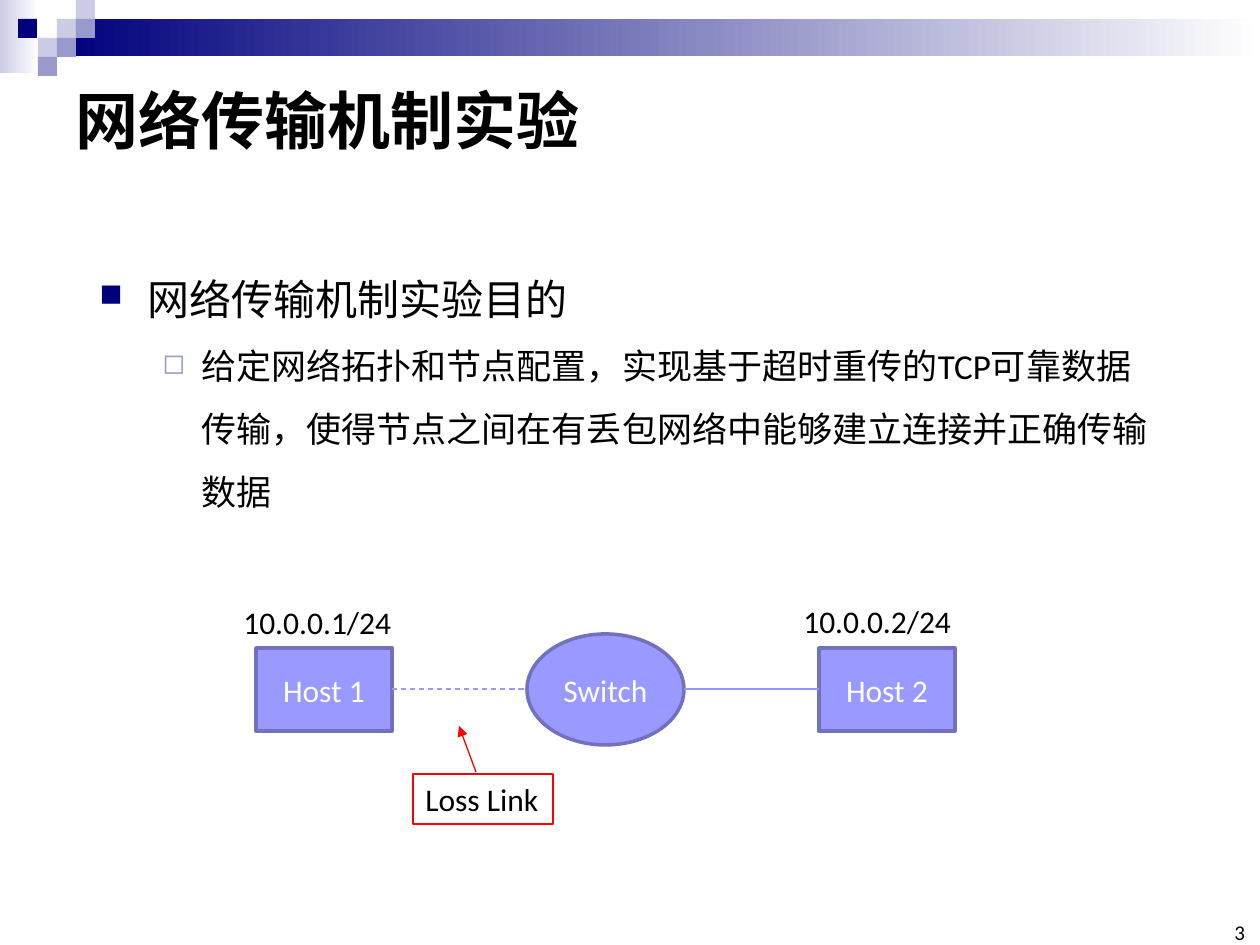
from lxml import etree
from pptx import Presentation, util as u
from pptx.dml.color import RGBColor
from pptx.enum import dml, shapes, text
from pptx.oxml import ns

PX = 914400 // 126
FONT = "Calibri"
COLORS = {
    "navy": "00007D", "slate": "9999CC", "mist": "CCCCE6", "white": "FFFFFF",
    "black": "000000", "node": "9999FF", "edge": "7171BD", "link": "9393FC",
    "red": "FF0000",
}


def px(*values):
    return [u.Emu(round(value * PX)) for value in values]


def rgb(name):
    return RGBColor.from_string(COLORS[name])


def add_child(parent, tag, **attributes):
    return etree.SubElement(parent, ns.qn(tag), attributes)


def add_block(page, bounds, fill, kind=shapes.MSO_SHAPE.RECTANGLE):
    """Borderless shape; a pair of colours makes a horizontal gradient."""
    block = page.shapes.add_shape(kind, *px(*bounds))
    block.shadow.inherit = False
    block.line.fill.background()
    if isinstance(fill, tuple):
        block.fill.gradient()
        block.fill.gradient_angle = 0
        for stop, name in zip(block.fill.gradient_stops, fill):
            stop.color.rgb = rgb(name)
    else:
        block.fill.solid()
        block.fill.fore_color.rgb = rgb(fill)
    return block


def style(para, size, color="black", bold=False, align=text.PP_ALIGN.LEFT):
    para.alignment = align
    para.font.name = FONT
    para.font.size = u.Pt(size)
    para.font.bold = bold
    para.font.color.rgb = rgb(color)


def add_text(page, bounds, words, size, bold=False, wrap=False,
             anchor=text.MSO_ANCHOR.TOP, align=text.PP_ALIGN.LEFT):
    box = page.shapes.add_textbox(*px(*bounds))
    frame = box.text_frame
    frame.word_wrap = wrap
    frame.vertical_anchor = anchor
    frame.text = words
    style(frame.paragraphs[0], size, bold=bold, align=align)
    return box


def add_node(page, bounds, label, kind=shapes.MSO_SHAPE.RECTANGLE):
    node = add_block(page, bounds, "node", kind)
    node.line.color.rgb = rgb("edge")
    node.line.width = u.Pt(2)
    frame = node.text_frame
    frame.text = label
    frame.vertical_anchor = text.MSO_ANCHOR.MIDDLE
    style(frame.paragraphs[0], 18, "white", align=text.PP_ALIGN.CENTER)


def add_link(page, start, end, color, dashed=False, arrow=False):
    link = page.shapes.add_connector(
        shapes.MSO_CONNECTOR.STRAIGHT, *px(*start, *end))
    link.line.color.rgb = rgb(color)
    link.line.width = u.Pt(0.75)
    if dashed:
        link.line.dash_style = dml.MSO_LINE.DASH
    if arrow:
        add_child(link.line._get_or_add_ln(), "a:tailEnd", type="triangle")
    add_child(link._element.spPr, "a:effectLst")


def add_bullet(para, words, size, mark, color, percent, margin, hang):
    para.text = words
    para.line_spacing = 1.5
    props = para._p.get_or_add_pPr()
    left, indent = px(margin, -hang)
    props.set("marL", str(left))
    props.set("indent", str(indent))
    tint = add_child(props, "a:buClr")
    add_child(tint, "a:srgbClr", val=COLORS[color])
    add_child(props, "a:buSzPct", val=str(percent * 1000))
    add_child(props, "a:buChar", char=mark)
    style(para, size)


def draw_header(page):
    add_block(page, (0, 0, 39, 73), ("mist", "white"))
    add_block(page, (57, 19, 1203, 37), ("navy", "white"))
    squares = [(57, 19, "mist"), (76, 0, "mist"), (76, 19, "slate"),
               (38, 38, "mist"), (18, 19, "navy"), (57, 38, "slate"),
               (38, 57, "slate")]
    for left, top, color in squares:
        add_block(page, (left, top, 19, 19), color)


def draw_body(page):
    box = page.shapes.add_textbox(*px(87, 242, 1086, 244))
    frame = box.text_frame
    frame.word_wrap = True
    add_bullet(frame.paragraphs[0], "网络传输机制实验目的", 24,
               "■", "navy", 75, 48, 48)
    detail = frame.add_paragraph()
    detail.level = 1
    add_bullet(detail, "给定网络拓扑和节点配置，实现基于超时重传的TCP可靠数据传输，"
               "使得节点之间在有丢包网络中能够建立连接并正确传输数据", 20,
               "◻", "slate", 80, 102, 39)


def draw_network(page):
    # Hosts with their addresses
    hosts = [("Host 1", 256, "10.0.0.1/24", 231, 597),
             ("Host 2", 819, "10.0.0.2/24", 791, 596)]
    for label, left, address, text_left, text_top in hosts:
        add_node(page, (left, 648, 136, 83), label)
        add_text(page, (text_left, text_top, 175, 50), address, 18)

    # Switch and its links
    add_link(page, (392, 689), (527, 689), "node", dashed=True)
    add_node(page, (527, 634, 157, 111), "Switch", shapes.MSO_SHAPE.OVAL)
    add_link(page, (684, 689), (819, 689), "link")

    # Callout for the lossy link
    add_link(page, (476, 772), (459, 726), "red", arrow=True)
    callout = add_text(page, (413, 774, 140, 50), "Loss Link", 18)
    callout.line.color.rgb = rgb("red")
    callout.line.width = u.Pt(0.75)


def main():
    deck = Presentation()
    deck.slide_width, deck.slide_height = px(1260, 945)
    page = deck.slides.add_slide(deck.slide_layouts[6])
    draw_header(page)
    add_text(page, (63, 63, 1134, 112), "网络传输机制实验", 36, bold=True,
             wrap=True, anchor=text.MSO_ANCHOR.MIDDLE)
    draw_body(page)
    draw_network(page)

    # Page number
    number = add_text(page, (1216, 923, 29, 22), "3", 12, wrap=True,
                      anchor=text.MSO_ANCHOR.BOTTOM,
                      align=text.PP_ALIGN.RIGHT)
    frame = number.text_frame
    frame.margin_left = frame.margin_right = 0
    frame.margin_top = frame.margin_bottom = 0
    deck.save("out.pptx")


main()
